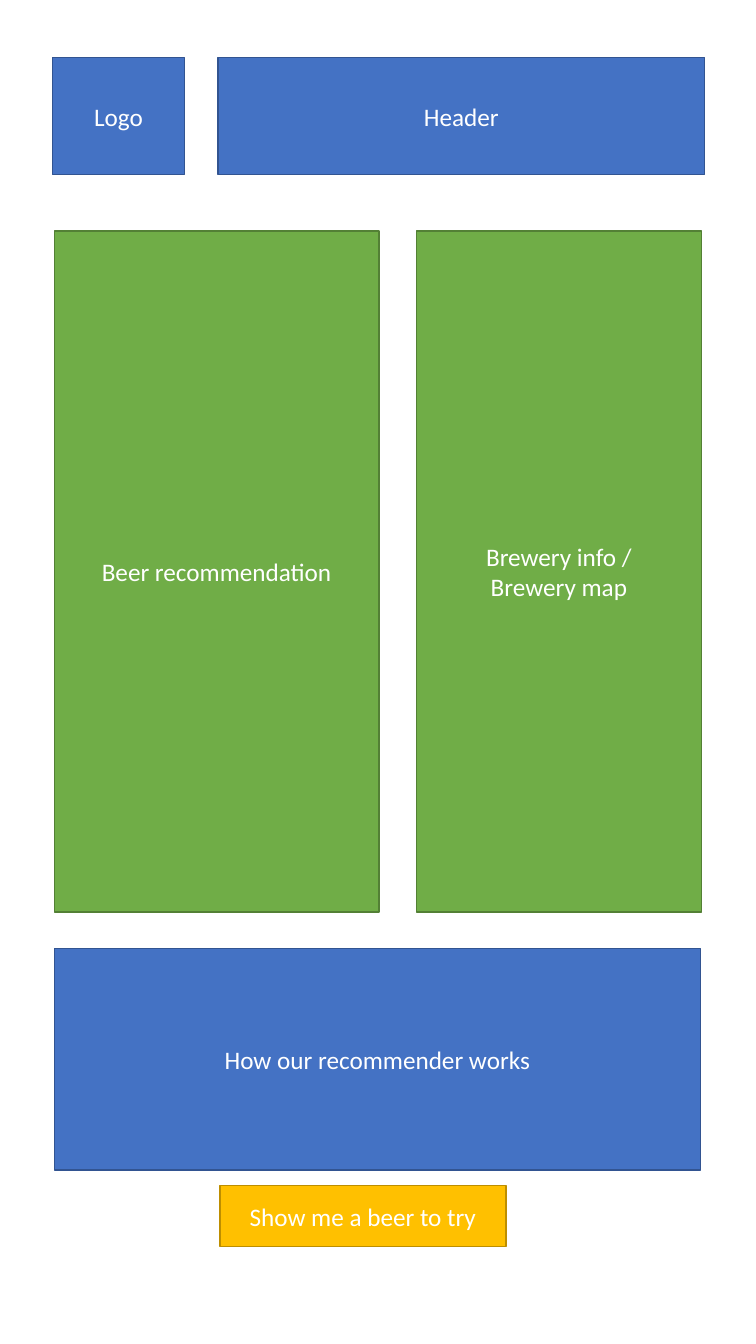
from pptx import Presentation
from pptx.dml.color import RGBColor
from pptx.enum.shapes import MSO_SHAPE
from pptx.enum.text import MSO_ANCHOR, PP_ALIGN
from pptx.util import Cm, Pt

COLORS = {
    "blue": "4472C4", "blue edge": "325491",
    "green": "70AD47", "green edge": "538035",
    "amber": "FFC000", "amber edge": "BD8E00",
    "label": "FFFFFF",
}

# top, height, color, [(label, left, width)]
ROWS = [
    (1.45, 2.95, "blue", [("Logo", 1.32, 3.33), ("Header", 5.49, 12.27)]),
    (5.82, 17.17, "green", [("Beer recommendation", 1.37, 8.18),
                            ("Brewery info /\nBrewery map", 10.49, 7.19)]),
    (23.9, 5.59, "blue", [("How our recommender works", 1.37, 16.28)]),
    (29.87, 1.55, "amber", [("Show me a beer to try", 5.54, 7.21)]),
]


def rgb(name):
    return RGBColor.from_string(COLORS[name])


def add_block(slide, label, left, top, width, height, color):
    block = slide.shapes.add_shape(
        MSO_SHAPE.RECTANGLE, Cm(left), Cm(top), Cm(width), Cm(height))
    block.shadow.inherit = False
    block.fill.solid()
    block.fill.fore_color.rgb = rgb(color)
    block.line.color.rgb = rgb(f"{color} edge")
    block.line.width = Pt(1)
    block.text_frame.text = label
    block.text_frame.word_wrap = True
    block.text_frame.vertical_anchor = MSO_ANCHOR.MIDDLE
    for paragraph in block.text_frame.paragraphs:
        paragraph.alignment = PP_ALIGN.CENTER
        for run in paragraph.runs:
            run.font.name = "Calibri"
            run.font.size = Pt(18)
            run.font.color.rgb = rgb("label")


def main():
    deck = Presentation()
    deck.slide_width, deck.slide_height = Cm(19.05), Cm(33.87)
    wireframe = deck.slides.add_slide(deck.slide_layouts[6])
    for top, height, color, blocks in ROWS:
        for label, left, width in blocks:
            add_block(wireframe, label, left, top, width, height, color)
    deck.save("out.pptx")


if __name__ == "__main__":
    main()
